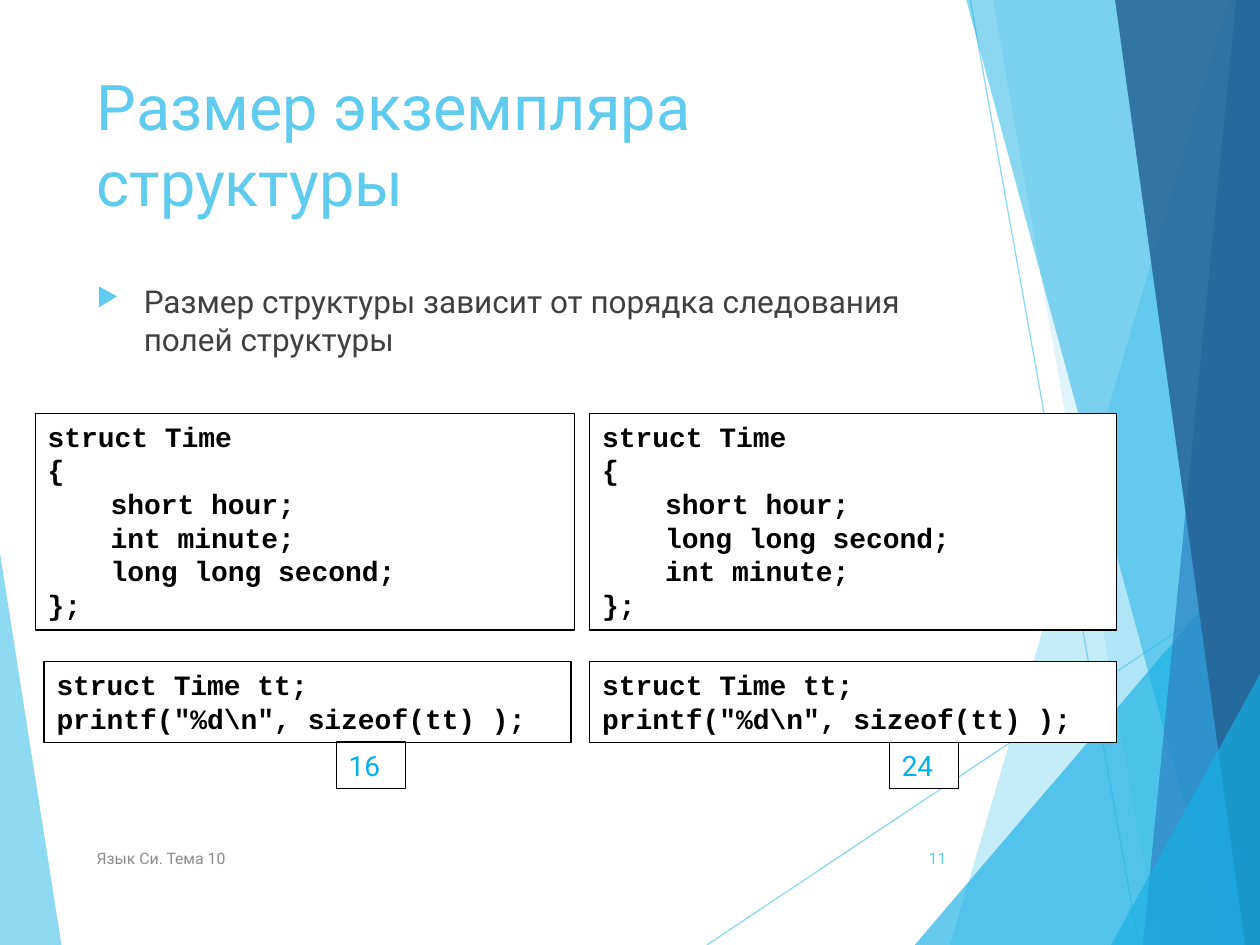
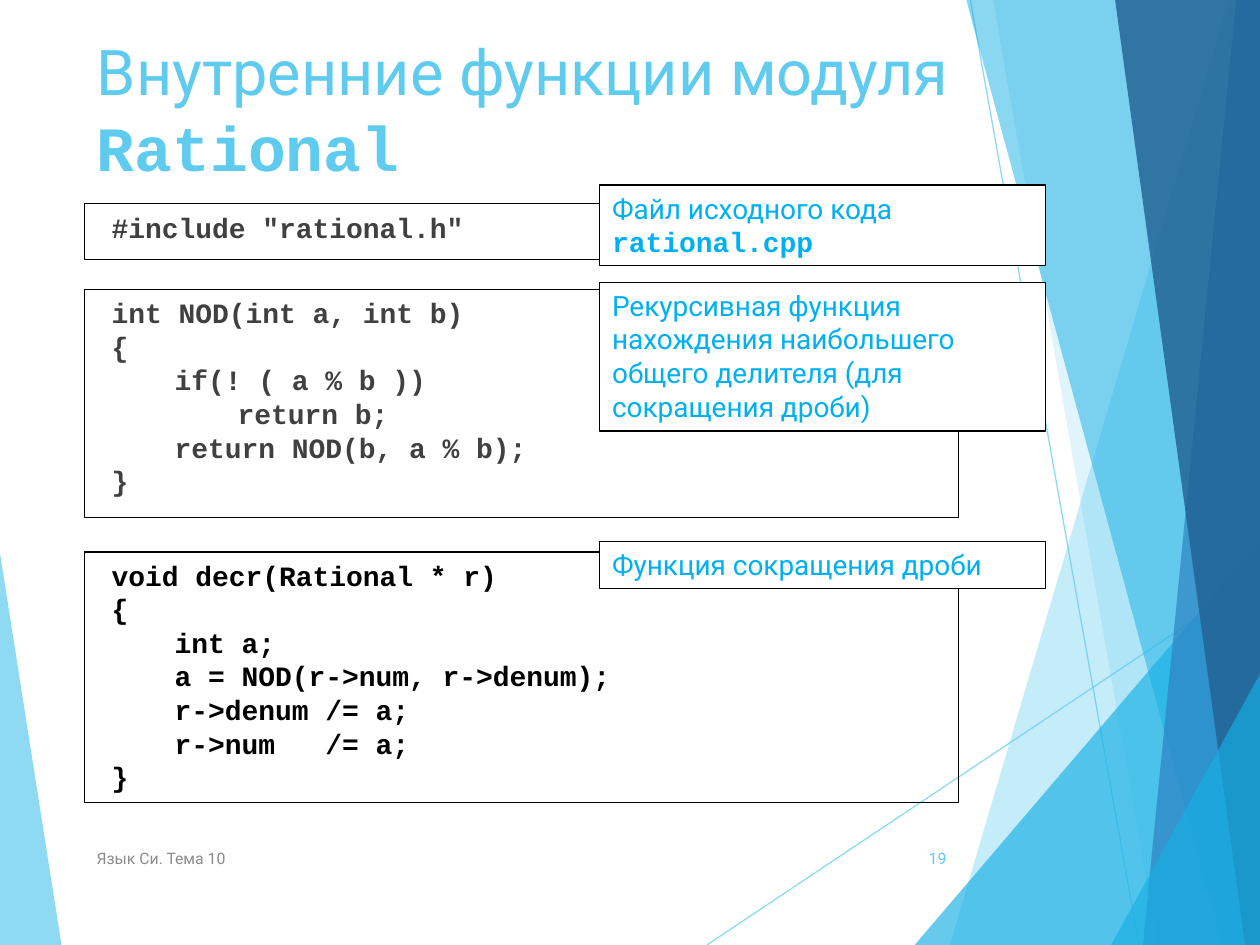
from dataclasses import dataclass
from lxml.etree import SubElement as Sub
from pptx import Presentation
from pptx.dml.color import RGBColor as Rgb
from pptx.enum.shapes import MSO_CONNECTOR as Conn
from pptx.enum.text import MSO_ANCHOR as Anchor, MSO_AUTO_SIZE as Fit, PP_ALIGN as Align
from pptx.oxml.ns import qn
from pptx.util import Cm, Pt


@dataclass(frozen=True)
class Theme:
    sky: str = "5FCBEF"
    cyan: str = "17B0E4"
    blue: str = "2E83C3"
    navy: str = "226292"
    note: str = "00B0F0"
    ink: str = "000000"
    gray: str = "404040"
    dim: str = "8C8C8C"
    white: str = "FFFFFF"
    sans: str = "Roboto"
    mono: str = "Courier New"
    head: int = 36
    body: int = 18
    code: int = 16
    foot: int = 9


T = Theme()


def write(frame, text, size, color, font=T.sans, tail=""):
    """Fill a frame with text; the tail is added in the code font."""
    frame.word_wrap = True
    frame.auto_size = Fit.NONE
    frame.vertical_anchor = Anchor.TOP
    frame.text = text
    if tail:
        frame.paragraphs[-1].add_run().text = tail
    for para in frame.paragraphs:
        para.alignment = Align.LEFT
        for run in para.runs:
            mono = font == T.mono or run.text == tail
            run.font.name = T.mono if mono else font
            run.font.bold = mono
            run.font.size = Pt(size)
            run.font.color.rgb = Rgb.from_string(color)


def frame_box(slide, place, text, color, font=T.mono, fill=True, indent=0, tail=""):
    """Add a text box with a thin black outline."""
    box = slide.shapes.add_textbox(*map(Cm, place))
    box.line.color.rgb = Rgb.from_string(T.ink)
    box.line.width = Pt(0.75)
    if fill:
        box.fill.solid()
        box.fill.fore_color.rgb = Rgb.from_string(T.white)
    write(box.text_frame, text, T.code, color, font, tail)
    if indent:
        for para in box.text_frame.paragraphs:
            props = para._p.get_or_add_pPr()
            props.set("marL", str(Cm(indent)))
            props.set("indent", "0")


# Page size and shared measures, in centimetres
wide, high = 25.4, 19.05
left, span = 1.7, 17.63

deck = Presentation()
deck.slide_width, deck.slide_height = Cm(wide), Cm(high)

# Background art: lines, then facets as colour, opacity and corners
rays = [(14.25, high, wide, 11.61), (19.56, 0, 22.96, high)]
wedge = (T.sky, 70, [(0, 11.15), (1.24, high), (0, high)])
facets = [
    (T.sky, 36, [(24.77, 0), (19.15, high), (wide, high), (wide, 0)]),
    (T.sky, 20, [(20.02, 0), (23.34, high), (wide, high), (wide, 0)]),
    (T.cyan, 66, [(18.44, high), (wide, 10.9), (wide, high)]),
    (T.cyan, 50, [(19.48, 0), (24.64, high), (wide, high), (wide, 0)]),
    (T.blue, 70, [(24.92, 0), (23.04, high), (wide, high), (wide, 0)]),
    (T.navy, 82, [(22.48, 0), (25.1, high), (wide, high), (wide, 0)]),
    (T.cyan, 66, [(22.4, high), (wide, 13.59), (wide, high)]),
]

# Title text, code tail, top, width and page number
heads = [
    ("Размер экземпляра структуры", "", 1.24, span, "11"),
    ("Внутренние функции модуля ", "Rational", 0.53, 18.21, "19"),
]

# Shared parts of both slides
slides = []
for text, tail, top, width, page in heads:
    slide = deck.slides.add_slide(deck.slide_layouts[5])
    slides.append(slide)
    shapes = slide.shapes

    art = []
    for x1, y1, x2, y2 in rays:
        ray = shapes.add_connector(Conn.STRAIGHT, Cm(x1), Cm(y1), Cm(x2), Cm(y2))
        ray.line.color.rgb = Rgb.from_string(T.sky)
        ray.line.width = Pt(0.75)
        Sub(ray._element.spPr, qn("a:effectLst"))
        art.append((ray, 70))
    for color, alpha, points in [wedge] + facets:
        points = [(Cm(x), Cm(y)) for x, y in points]
        pen = shapes.build_freeform(*points[0])
        pen.add_line_segments(points[1:], close=True)
        facet = pen.convert_to_shape()
        facet.shadow.inherit = False
        facet.fill.solid()
        facet.fill.fore_color.rgb = Rgb.from_string(color)
        facet.line.fill.background()
        art.append((facet, alpha))
    for shape, alpha in art:
        for tone in shape._element.iter(qn("a:srgbClr")):
            Sub(tone, qn("a:alpha")).set("val", str(alpha * 1000))

    title = shapes.title
    title.left, title.top = Cm(left), Cm(top)
    title.width, title.height = Cm(width), Cm(3.66)
    write(title.text_frame, text, T.head, T.sky, tail=tail)

    for x, w, label, color, align in [
        (left, 12.85, "Язык Си. Тема 10", T.dim, Align.LEFT),
        (17.91, 1.42, page, T.sky, Align.RIGHT),
    ]:
        foot = shapes.add_textbox(Cm(x), Cm(16.79), Cm(w), Cm(1.02)).text_frame
        write(foot, label, T.foot, color)
        foot.vertical_anchor = Anchor.MIDDLE
        foot.paragraphs[0].alignment = align

size, unit = slides

# Slide 1: bullet
point = size.shapes.add_textbox(Cm(left), Cm(5.56), Cm(span), Cm(2.31)).text_frame
write(point, "Размер структуры зависит от порядка следования полей структуры",
      T.body, T.gray)
props = point.paragraphs[0]._p.get_or_add_pPr()
props.set("marL", str(Cm(0.95)))
props.set("indent", str(-Cm(0.95)))
Sub(Sub(props, qn("a:buClr")), qn("a:srgbClr")).set("val", T.sky)
Sub(props, qn("a:buSzPct")).set("val", "80000")
Sub(props, qn("a:buChar")).set("char", "▶")

# Slide 1: two field orders, each with its call and result
call = 'struct Time tt;\nprintf("%d\\n", sizeof(tt) );'
cases = [
    (0.71, 10.87, 0.89, 6.78, False, ["int minute", "long long second"], "16"),
    (11.89, 10.62, 11.89, 17.93, True, ["long long second", "int minute"], "24"),
]
for x, w, call_x, sum_x, fill, fields, total in cases:
    rows = [f"\t{field};" for field in ["short hour"] + fields]
    code = "\n".join(["struct Time", "{"] + rows + ["};"])
    frame_box(size, (x, 8.33, w, 4.37), code, T.ink, fill=fill)
    frame_box(size, (sum_x, 14.96, 1.4, 0.94), total, T.note, T.sans)
    frame_box(size, (call_x, 13.34, 10.62, 1.63), call, T.ink, fill=fill)

# Slide 2: code blocks
nod = """int NOD(int a, int b)
{
\tif(! ( a % b ))
\t\treturn b;
\treturn NOD(b, a % b);
}"""
decr = """void decr(Rational * r)
{
\tint a;
\ta = NOD(r->num, r->denum);
\tr->denum /= a;
\tr->num   /= a;
}"""
for y, h, code, color in [
    (4.11, 1.12, '#include "rational.h"', T.gray),
    (5.84, 4.6, nod, T.gray),
    (11.13, 5.05, decr, T.ink),
]:
    frame_box(unit, (left, y, span, h), code, color, fill=False, indent=0.3)

# Slide 2: notes over the code
for y, h, text, tail in [
    (3.73, 1.63, "Файл исходного кода ", "rational.cpp"),
    (5.69, 3, "Рекурсивная функция нахождения наибольшего общего делителя "
              "(для сокращения дроби)", ""),
    (10.92, 0.94, "Функция сокращения дроби", ""),
]:
    frame_box(unit, (12.09, y, 8.99, h), text, T.note, T.sans, tail=tail)

deck.save("out.pptx")
